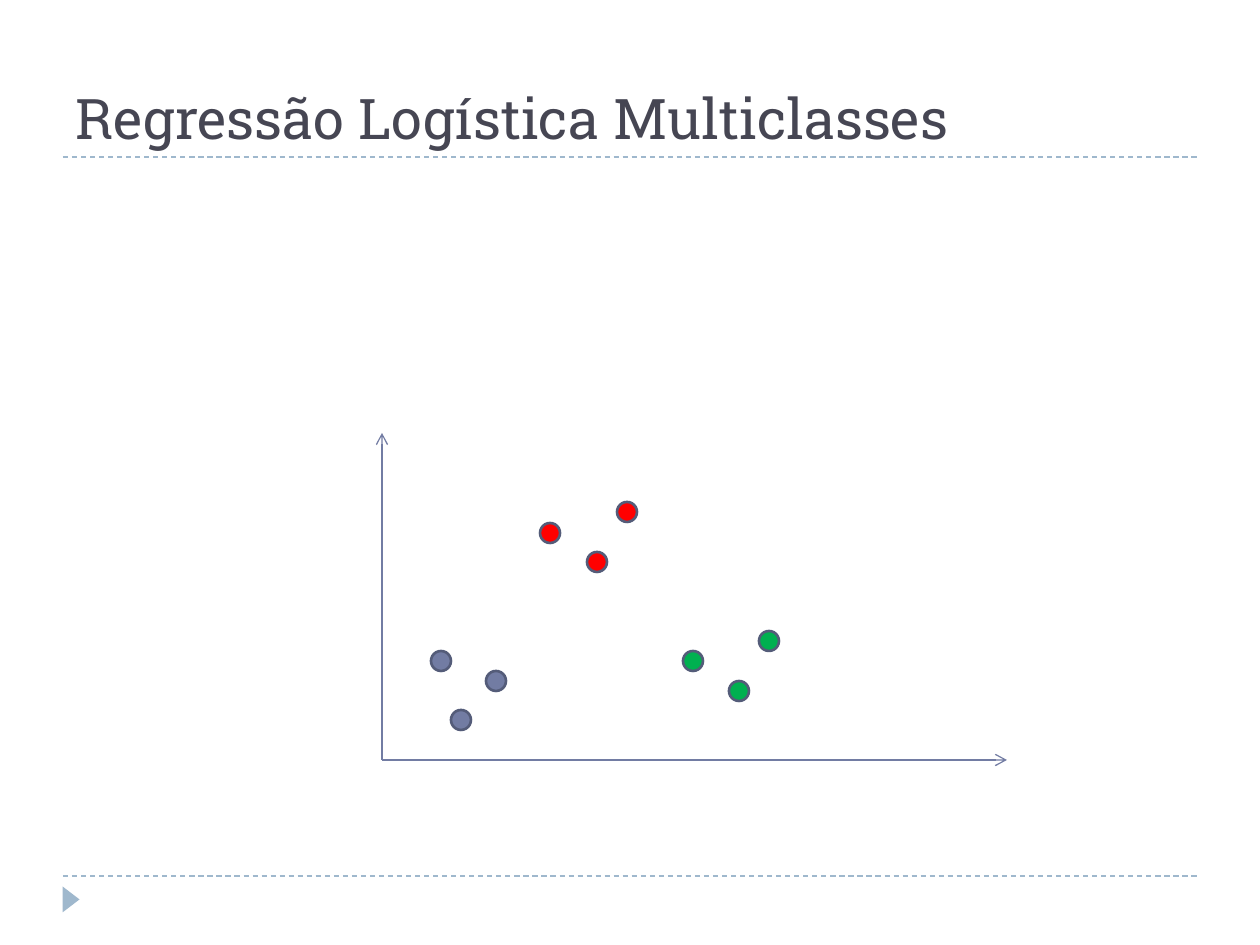
from pptx import Presentation
from pptx import util as u
from pptx.dml.color import RGBColor
from pptx.enum import dml, shapes, text
from pptx.oxml.ns import qn
from lxml import etree

PX = u.Inches(1) // 126
WIDTH, HEIGHT = 1260, 945

INK = RGBColor(0x46, 0x46, 0x53)
PALE_BLUE = RGBColor(0x9F, 0xB8, 0xCD)
BLUE = RGBColor(0x72, 0x7C, 0xA3)
DARK_BLUE = RGBColor(0x54, 0x5C, 0x79)
RED = RGBColor(0xFF, 0x00, 0x00)
GREEN = RGBColor(0x00, 0xB0, 0x50)

TITLE = "Regressão Logística Multiclasses"
TITLE_BOX = (63, 21, 1134, 136)
RULES_Y = (876, 157)
RULE_LEFT, RULE_RIGHT = 63, 1197
MARKER_BOX = (58, 891, 26, 17)

ORIGIN = (382, 760)
AXIS_ENDS = [(1007, 760), (382, 433)]
DOT = 20
CLASSES = [  # colour, dot centres
    (BLUE, [(441, 661), (461, 720), (496, 681)]),
    (RED, [(550, 533), (597, 562), (627, 512)]),
    (GREEN, [(693, 661), (739, 691), (769, 641)]),
]


def px(*values):
    return [v * PX for v in values]


def add_line(s, start, end, color):
    line = s.shapes.add_connector(shapes.MSO_CONNECTOR.STRAIGHT, *px(*start, *end))
    line.line.color.rgb = color
    line.line.width = u.Pt(0.75)
    etree.SubElement(line._element.spPr, qn("a:effectLst"))
    return line


def add_filled(s, kind, box, color):
    sp = s.shapes.add_shape(kind, *px(*box))
    sp.shadow.inherit = False
    sp.fill.solid()
    sp.fill.fore_color.rgb = color
    return sp


def add_title(s):
    tf = s.shapes.add_textbox(*px(*TITLE_BOX)).text_frame
    tf.word_wrap = True
    tf.vertical_anchor = text.MSO_ANCHOR.BOTTOM
    tf.text = TITLE
    font = tf.paragraphs[0].runs[0].font
    font.name = "Roboto Slab"
    font.size = u.Pt(32)
    font.color.rgb = INK


def main():
    prs = Presentation()
    prs.slide_width, prs.slide_height = px(WIDTH, HEIGHT)
    s = prs.slides.add_slide(prs.slide_layouts[6])

    for y in RULES_Y:
        rule = add_line(s, (RULE_LEFT, y), (RULE_RIGHT, y), PALE_BLUE)
        rule.line.dash_style = dml.MSO_LINE.DASH
    marker = add_filled(s, shapes.MSO_SHAPE.ISOSCELES_TRIANGLE, MARKER_BOX, PALE_BLUE)
    marker.rotation = 90
    marker.line.fill.background()
    add_title(s)

    for end in AXIS_ENDS:
        axis = add_line(s, ORIGIN, end, BLUE)
        etree.SubElement(axis.line._get_or_add_ln(), qn("a:tailEnd"), type="arrow")
    for color, centres in CLASSES:
        for x, y in centres:
            box = (x - DOT // 2, y - DOT // 2, DOT, DOT)
            dot = add_filled(s, shapes.MSO_SHAPE.OVAL, box, color)
            dot.line.color.rgb = DARK_BLUE
            dot.line.width = u.Pt(1.5)

    prs.save("out.pptx")


if __name__ == "__main__":
    main()
